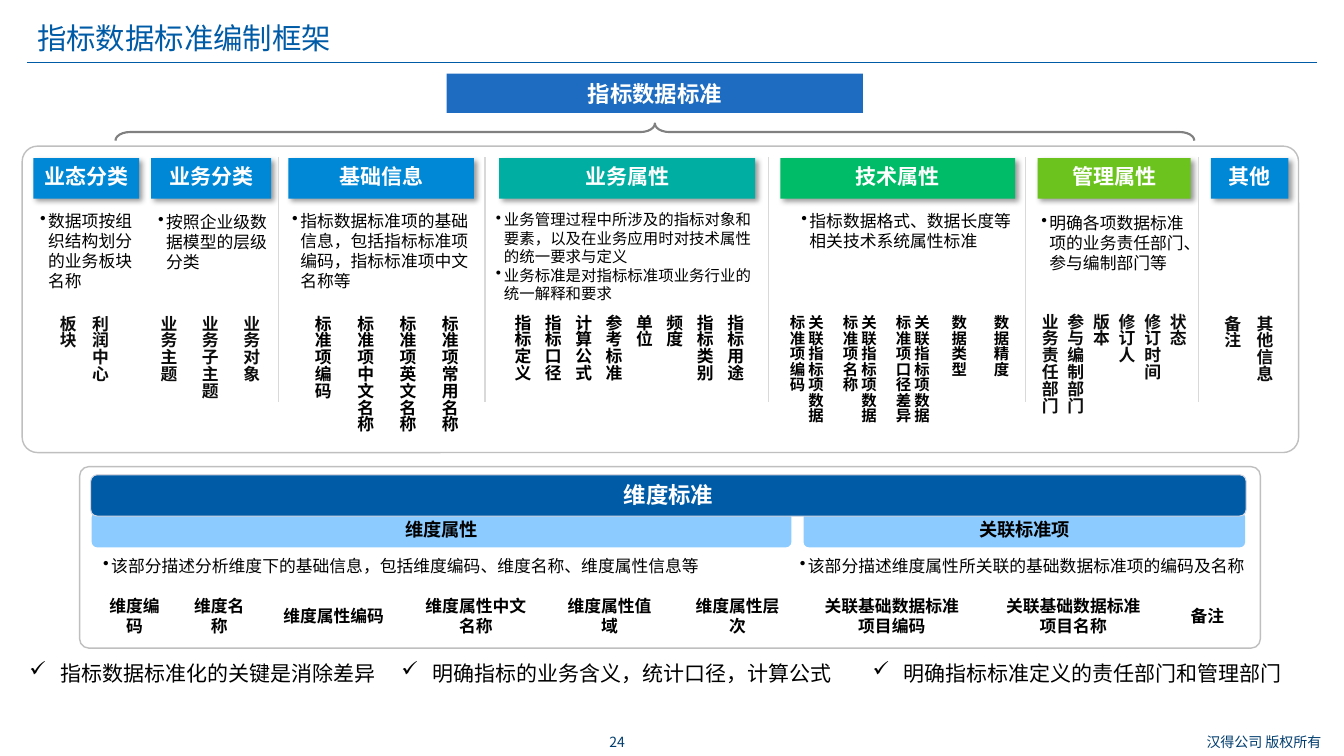
from pptx import Presentation
from pptx.dml.color import RGBColor
from pptx.enum.shapes import MSO_CONNECTOR, MSO_SHAPE
from pptx.enum.text import MSO_ANCHOR, PP_ALIGN
from pptx.oxml import parse_xml
from pptx.oxml.ns import nsdecls, qn
from pptx.util import Emu, Inches, Pt

RECT, ROUND, BRACE = MSO_SHAPE.RECTANGLE, MSO_SHAPE.ROUNDED_RECTANGLE, MSO_SHAPE.LEFT_BRACE
STRAIGHT = MSO_CONNECTOR.STRAIGHT
TOP, MIDDLE = MSO_ANCHOR.TOP, MSO_ANCHOR.MIDDLE
LEFT, CENTER = PP_ALIGN.LEFT, PP_ALIGN.CENTER

THEME = {
    "font": "Noto Sans CJK SC", "leading": 1.2,
    "navy": "005BA6", "footer": "003D6E", "banner": "1D6CC1", "blue": "0087D5",
    "teal": "00AFA1", "green": "00BC68", "lime": "6DC31D", "sky": "8BCBFF",
    "white": "FFFFFF", "black": "000000", "ink": "0D0D0D",
    "divider": "D9D9D9", "panel": "BFBFBF", "brace": "808080", "edge": "D5D6DF",
    "title_size": 21, "banner_size": 16, "header_size": 15, "section_size": 13,
    "body_size": 12, "small_size": 11, "footer_size": 10,
}

TITLE = "指标数据标准编制框架"
BANNER = "指标数据标准"
FOOTERS = [("24", 5.77, 0.7), ("汉得公司 版权所有", 11.74, 1.59)]

# heading, left, width, colour
HEADINGS = [
    ("业态分类", 0.33, 1.05, "blue"),
    ("业务分类", 1.5, 1.19, "blue"),
    ("基础信息", 2.86, 1.84, "blue"),
    ("业务属性", 4.95, 2.54, "teal"),
    ("技术属性", 7.74, 2.33, "green"),
    ("管理属性", 10.29, 1.52, "lime"),
    ("其他", 12.01, 0.77, "blue"),
]
DIVIDERS = [2.76, 4.81, 7.62, 10.17, 11.89]

# paragraphs, left, top, width, height, size
DESCRIPTIONS = [
    (["数据项按组织结构划分的业务板块名称"], 0.3, 2.04, 1.2, 0.91, "body_size"),
    (["按照企业级数据模型的层级分类"], 1.47, 2.05, 1.29, 0.71, "body_size"),
    (["指标数据标准项的基础信息，包括指标标准项编码，指标标准项中文名称等"],
     2.8, 2.04, 2.08, 0.91, "body_size"),
    (["业务管理过程中所涉及的指标对象和要素，以及在业务应用时对技术属性的统一要求与定义",
      "业务标准是对指标标准项业务行业的统一解释和要求"], 4.82, 2.04, 2.75, 1.03, "small_size"),
    (["指标数据格式、数据长度等相关技术系统属性标准"], 7.85, 2.04, 2.28, 0.5, "body_size"),
    (["明确各项数据标准项的业务责任部门、参与编制部门等"], 10.23, 2.06, 1.68, 0.71, "body_size"),
]

# labels, first left, last left, top, width, size, colour
FIELD_GROUPS = [
    (["板块", "利润中心"], 0.42, 0.74, 3.03, 0.4, "body_size", "ink"),
    (["业务主题", "业务子主题", "业务对象"], 1.42, 2.24, 3.03, 0.4, "body_size", "ink"),
    (["标准项编码", "标准项中文名称", "标准项英文名称", "标准项常用名称"],
     2.95, 4.21, 3.03, 0.4, "body_size", "black"),
    (["指标定义", "指标口径", "计算公式", "参考标准", "单位", "频度", "指标类别", "指标用途"],
     4.93, 7.04, 3.02, 0.4, "body_size", "black"),
    (["关联指标项数据标准项编码", "关联指标项数据标准项名称", "关联指标项数据标准项口径差异"],
     7.66, 8.71, 3.03, 0.57, "small_size", "black"),
    (["数据类型", "数据精度"], 9.26, 9.68, 3.03, 0.39, "small_size", "black"),
    (["业务责任部门", "参与编制部门", "版本", "修订人", "修订时间", "状态"],
     10.16, 11.43, 3.01, 0.4, "body_size", "ink"),
    (["备注", "其他信息"], 11.97, 12.29, 3.03, 0.4, "body_size", "ink"),
]

DIMENSION = "维度标准"
# heading, left, width, description, description left, width
DIMENSION_SECTIONS = [
    ("维度属性", 0.91, 6.94,
     "该部分描述分析维度下的基础信息，包括维度编码、维度名称、维度属性信息等", 0.91, 8.35),
    ("关联标准项", 7.97, 4.38,
     "该部分描述维度属性所关联的基础数据标准项的编码及名称", 7.82, 5.11),
]
DIMENSION_FIELDS = [
    ("维度编码", 0.97, 0.73), ("维度名称", 1.81, 0.73), ("维度属性编码", 2.66, 1.3),
    ("维度属性中文名称", 4.07, 1.3), ("维度属性值域", 5.47, 1.15), ("维度属性层次", 6.74, 1.15),
    ("关联基础数据标准项目编码", 8, 1.69), ("关联基础数据标准项目名称", 9.8, 1.69),
    ("备注", 11.61, 0.73),
]
KEY_POINTS = [
    ("指标数据标准化的关键是消除差异", -0.06, 4.14),
    ("明确指标的业务含义，统计口径，计算公式", 3.59, 5.05),
    ("明确指标标准定义的责任部门和管理部门", 8.23, 4.91),
]


def color(name):
    return RGBColor.from_string(THEME[name])


def write(shape, lines, size, ink="black", bold=False, align=CENTER, anchor=MIDDLE,
          bullet=None, indent=0.08, vertical=False):
    frame = shape.text_frame
    for key, value in {"word_wrap": True, "vertical_anchor": anchor}.items():
        setattr(frame, key, value)
    if vertical:
        frame._txBody.bodyPr.set("vert", "eaVert")
    points = THEME[size]
    for index, line in enumerate(lines):
        paragraph = frame.paragraphs[0] if index == 0 else frame.add_paragraph()
        if bullet:
            props = paragraph._p.get_or_add_pPr()
            props.set("marL", str(Inches(indent)))
            props.set("indent", str(-Inches(indent)))
            props.append(parse_xml(f'<a:buChar {nsdecls("a")} char="{bullet}"/>'))
        for key, value in {"alignment": align,
                           "line_spacing": Pt(points * THEME["leading"])}.items():
            setattr(paragraph, key, value)
        run = paragraph.add_run()
        run.text = line
        for key, value in {"size": Pt(points), "bold": bold, "name": THEME["font"]}.items():
            setattr(run.font, key, value)
        run.font.color.rgb = color(ink)
        run._r.get_or_add_rPr().find(qn("a:latin")).addnext(
            parse_xml(f'<a:ea {nsdecls("a")} typeface="{THEME["font"]}"/>'))


def add_text(slide, box, lines, size, **style):
    write(slide.shapes.add_textbox(*map(Inches, box)), lines, size, **style)


def add_block(slide, kind, box, fill=None, line=None, weight=1, adjust=()):
    block = slide.shapes.add_shape(kind, *map(Inches, box))
    block.shadow.inherit = False
    for index, value in enumerate(adjust):
        block.adjustments[index] = value
    if fill:
        block.fill.solid()
        block.fill.fore_color.rgb = color(fill)
    else:
        block.fill.background()
    if line:
        block.line.color.rgb = color(line)
        block.line.width = Pt(weight)
    else:
        block.line.fill.background()
    return block


def drop_shadow(block):
    effects = block._element.spPr.find(qn("a:effectLst"))
    effects.append(parse_xml(
        f'<a:outerShdw {nsdecls("a")} blurRad="{Pt(4)}" dist="{Pt(3)}" dir="2700000" algn="tl" '
        'rotWithShape="0"><a:srgbClr val="000000"><a:alpha val="40000"/></a:srgbClr></a:outerShdw>'))


def add_rule(slide, start, end, line, weight):
    rule = slide.shapes.add_connector(STRAIGHT, *map(Inches, start + end))
    rule.line.color.rgb = color(line)
    rule.line.width = Pt(weight)
    rule._element.spPr.append(parse_xml(f'<a:effectLst {nsdecls("a")}/>'))


def add_frame(slide):
    """Title, footer, banner, brace and the two outlined panels."""
    for text, left, width in FOOTERS:
        add_text(slide, (left, 7.23, width, 0.27), [text], "footer_size", ink="footer")
    add_rule(slide, (0.27, 0.62), (13.06, 0.62), "navy", 0.75)
    add_text(slide, (0.27, 0.15, 11.57, 0.42), [TITLE], "title_size",
             ink="navy", align=LEFT, anchor=TOP)
    banner = add_block(slide, RECT, (4.43, 0.73, 4.13, 0.39), "banner")
    write(banner, [BANNER], "banner_size", ink="white", bold=True)
    brace = add_block(slide, BRACE, (6.41, -4.04, 0.17, 10.7), line="brace",
                      weight=1.5, adjust=(0.844, 0.5))
    brace.rotation = 90
    for box in [(0.22, 1.45, 12.66, 3.04), (0.79, 4.63, 11.71, 1.8)]:
        add_block(slide, ROUND, box, line="panel", adjust=(0.05,))


def add_indicator_columns(slide):
    for text, left, width, fill in HEADINGS:
        heading = add_block(slide, RECT, (left, 1.57, width, 0.4), fill)
        drop_shadow(heading)
        write(heading, [text], "header_size", ink="white", bold=True, anchor=TOP)
    for x in DIVIDERS:
        add_rule(slide, (x, 1.56), (x, 3.99), "divider", 1)
    for lines, left, top, width, height, size in DESCRIPTIONS:
        add_text(slide, (left, top, width, height), lines, size,
                 align=LEFT, anchor=TOP, bullet="•")
    for labels, first, last, top, width, size, ink in FIELD_GROUPS:
        pitch = (last - first) / (len(labels) - 1)
        for index, label in enumerate(labels):
            add_text(slide, (first + index * pitch, top, width, 1.38), [label], size,
                     ink=ink, bold=True, align=LEFT, anchor=TOP, vertical=True)


def add_dimension_panel(slide):
    corner = (0.157,)
    for text, left, width, detail, detail_left, detail_width in DIMENSION_SECTIONS:
        note = add_block(slide, ROUND, (detail_left, 5.45, detail_width, 0.33), adjust=corner)
        write(note, [detail], "body_size", align=LEFT, anchor=TOP, bullet="•")
        section = add_block(slide, ROUND, (left, 5.08, width, 0.35), "sky", adjust=corner)
        write(section, [text], "section_size", bold=True)
    header = add_block(slide, ROUND, (0.9, 4.71, 11.46, 0.41), "navy", "edge", 0.75, corner)
    write(header, [DIMENSION], "banner_size", ink="white", bold=True, anchor=TOP)
    for text, left, width in DIMENSION_FIELDS:
        add_text(slide, (left, 5.86, width, 0.5), [text], "body_size", bold=True)


def main():
    deck = Presentation()
    deck.slide_width, deck.slide_height = Emu(Inches(13.33)), Inches(7.5)
    slide = deck.slides.add_slide(deck.slide_layouts[6])
    add_frame(slide)
    add_indicator_columns(slide)
    add_dimension_panel(slide)
    for text, left, width in KEY_POINTS:
        add_text(slide, (left, 6.43, width, 0.49), [text], "header_size",
                 bullet="✓", indent=0.31)
    deck.save("out.pptx")


if __name__ == "__main__":
    main()
